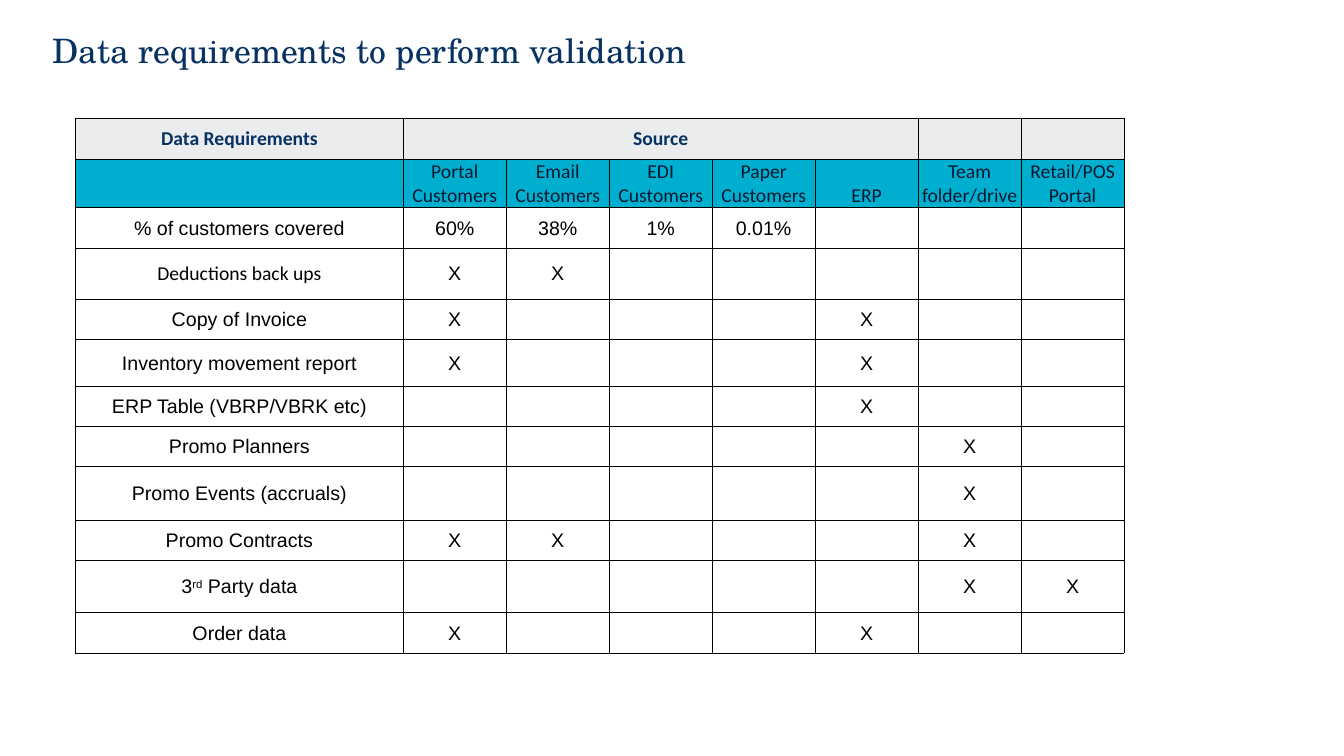
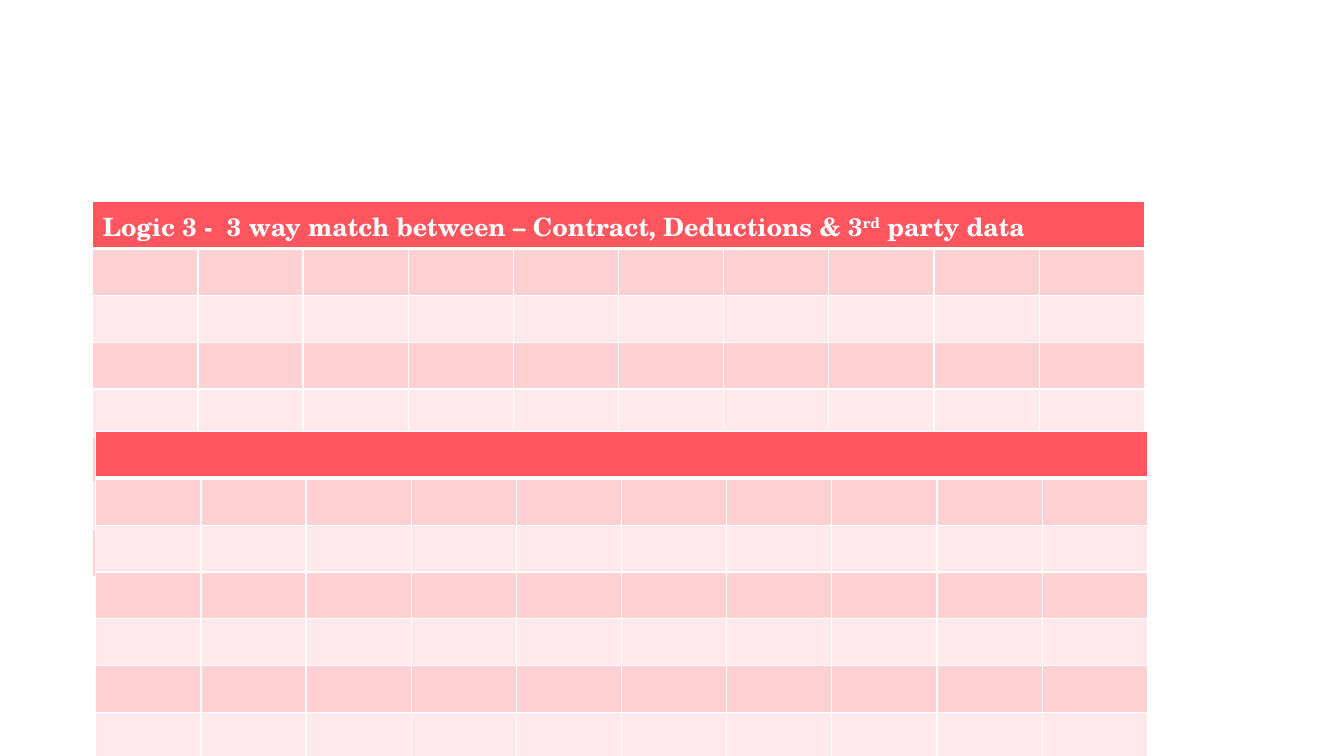
import pptx
import pptx.dml.color
import pptx.enum.text
import pptx.oxml
import pptx.oxml.ns
import pptx.util

Inches = pptx.util.Inches
Pt = pptx.util.Pt
RGBColor = pptx.dml.color.RGBColor
ALIGN = pptx.enum.text.PP_ALIGN
ANCHOR = pptx.enum.text.MSO_ANCHOR

# Shared colours and fonts
NAVY = RGBColor(0x07, 0x32, 0x62)
INK = RGBColor(0x04, 0x19, 0x31)
BLACK = RGBColor(0, 0, 0)
WHITE = RGBColor(0xFF, 0xFF, 0xFF)
GREY = RGBColor(0xEB, 0xEC, 0xED)
CYAN = RGBColor(0x00, 0xAE, 0xCF)
CORAL = RGBColor(0xFF, 0x55, 0x5F)
PINK = RGBColor(0xFF, 0xD1, 0xD2)
PALE_PINK = RGBColor(0xFF, 0xE9, 0xEA)
SERIF = "TeX Gyre Schola"

# Text formats
TITLE = {"name": SERIF, "size": Pt(24), "color": NAVY}
GROUP = {"name": "Calibri", "size": Pt(14), "bold": True, "color": NAVY}
SOURCE = {"name": "Calibri", "size": Pt(14), "bold": False, "color": INK}
BODY = {"name": "Arial", "size": Pt(14), "color": BLACK}
BODY_ALTERNATE = BODY | {"name": "Calibri"}
BANNER = {"name": SERIF, "size": Pt(18), "bold": True, "color": WHITE}
TIGHT = {"margin_left": Inches(0.01), "margin_right": Inches(0.01),
         "margin_top": Inches(0.01), "margin_bottom": 0}

# Data requirements: label, row height, entries by source column
SOURCES = ["Portal Customers", "Email Customers", "EDI Customers",
           "Paper Customers", "ERP", "Team folder/drive", "Retail/POS Portal"]
REQUIREMENTS = [
    ("% of customers covered", 0.4, {1: "60%", 2: "38%", 3: "1%", 4: "0.01%"}),
    ("Deductions back ups", 0.51, {1: "X", 2: "X"}),
    ("Copy of Invoice", 0.4, {1: "X", 5: "X"}),
    ("Inventory movement report", 0.46, {1: "X", 5: "X"}),
    ("ERP Table (VBRP/VBRK etc)", 0.4, {5: "X"}),
    ("Promo Planners", 0.4, {6: "X"}),
    ("Promo Events (accruals)", 0.53, {6: "X"}),
    ("Promo Contracts", 0.4, {1: "X", 2: "X", 6: "X"}),
    ("3^rd^ Party data", 0.52, {6: "X", 7: "X"}),
    ("Order data", 0.4, {1: "X", 5: "X"}),
]
HEADER_HEIGHTS = [0.41, 0.48]
LABEL_WIDTH = 3.25
SOURCE_WIDTH = (10.4 - LABEL_WIDTH) / len(SOURCES)

# Match grid
MATCH_COLUMNS, MATCH_ROWS = 10, 8
MATCH_WIDTH, MATCH_HEIGHT = 10.43, 3.72


def set_attributes(target, values):
    for name, value in values.items():
        setattr(target, name, value)


def write(paragraph, text, style):
    """Add styled runs; a part between carets is superscript."""
    for index, part in enumerate(text.split("^")):
        run = paragraph.add_run()
        run.text = part
        set_attributes(run.font, {key: value for key, value in style.items()
                                  if key != "color"})
        run.font.color.rgb = style["color"]
        if index % 2:
            run.font._element.set("baseline", "30000")


def add_title(slide, text):
    shape = slide.shapes.add_textbox(Inches(0.42), Inches(0.25),
                                     Inches(9.33), Inches(0.5))
    shape.text_frame.word_wrap = True
    write(shape.text_frame.paragraphs[0], text, TITLE)


def add_table(slide, left, top, widths, heights):
    shape = slide.shapes.add_table(
        len(heights), len(widths), Inches(left), Inches(top),
        Inches(sum(widths)), Inches(sum(heights)))
    table = shape.table
    table.first_row = table.horz_banding = False
    for column, width in zip(table.columns, widths):
        column.width = Inches(width)
    for row, height in zip(table.rows, heights):
        row.height = Inches(height)
    return table


def set_borders(cell, color, **widths):
    """Draw the sides L, R, T and B, each with a width in points."""
    properties = cell._tc.get_or_add_tcPr()
    for index, (side, width) in enumerate(widths.items()):
        properties.insert(index, pptx.oxml.parse_xml(
            f'<a:ln{side} {pptx.oxml.ns.nsdecls("a")} w="{Pt(width)}">'
            f'<a:solidFill><a:srgbClr val="{color}"/></a:solidFill>'
            f'</a:ln{side}>'))


def fill_cell(cell, color):
    cell.fill.solid()
    cell.fill.fore_color.rgb = color


def write_cell(cell, text, style, anchor=ANCHOR.MIDDLE):
    cell.vertical_anchor = anchor
    paragraph = cell.text_frame.paragraphs[0]
    paragraph.alignment = ALIGN.CENTER
    write(paragraph, text, style)


def add_requirements_table(slide):
    heights = HEADER_HEIGHTS + [height for _, height, _ in REQUIREMENTS]
    widths = [LABEL_WIDTH] + [SOURCE_WIDTH] * len(SOURCES)
    table = add_table(slide, 0.75, 1.17, widths, heights)
    fills = [GREY, CYAN] + [WHITE] * len(REQUIREMENTS)
    for row, color in zip(table.rows, fills):
        for cell in row.cells:
            set_attributes(cell, TIGHT)
            fill_cell(cell, color)
            set_borders(cell, BLACK, L=0.5, R=0.5, T=0.5, B=0.5)

    # Two header rows
    table.cell(0, 1).merge(table.cell(0, 5))
    write_cell(table.cell(0, 0), "Data Requirements", GROUP)
    write_cell(table.cell(0, 1), "Source", GROUP)
    for column, source in enumerate(SOURCES, 1):
        write_cell(table.cell(1, column), source, SOURCE, ANCHOR.BOTTOM)

    # Body rows
    for row, (label, _, entries) in enumerate(REQUIREMENTS, 2):
        style = BODY_ALTERNATE if label.startswith("Deductions") else BODY
        write_cell(table.cell(row, 0), label, style)
        for column, entry in entries.items():
            write_cell(table.cell(row, column), entry, BODY)


def add_match_table(slide, left, top, heading=None):
    table = add_table(slide, left, top,
                      [MATCH_WIDTH / MATCH_COLUMNS] * MATCH_COLUMNS,
                      [MATCH_HEIGHT / MATCH_ROWS] * MATCH_ROWS)
    for index, row in enumerate(table.rows):
        color = CORAL if index == 0 else PINK if index % 2 else PALE_PINK
        for cell in row.cells:
            fill_cell(cell, color)
            set_borders(cell, WHITE, L=1, R=1, T=3 if index == 1 else 1,
                        B=3 if index == 0 else 1)
    banner = table.cell(0, 0)
    banner.merge(table.cell(0, MATCH_COLUMNS - 1))
    if heading:
        write(banner.text_frame.paragraphs[0], heading, BANNER)


def main():
    presentation = pptx.Presentation()
    presentation.slide_width = Inches(13.33)
    presentation.slide_height = Inches(7.5)
    blank = presentation.slide_layouts[6]

    # Data requirements
    slide = presentation.slides.add_slide(blank)
    add_title(slide, "Data requirements to perform validation")
    add_requirements_table(slide)

    # Three way match
    slide = presentation.slides.add_slide(blank)
    add_match_table(slide, 0.92, 2, "Logic 3 -  3 way match between – "
                    "Contract, Deductions & 3^rd^ party data")
    add_match_table(slide, 0.95, 4.28)

    presentation.save("out.pptx")


if __name__ == "__main__":
    main()
